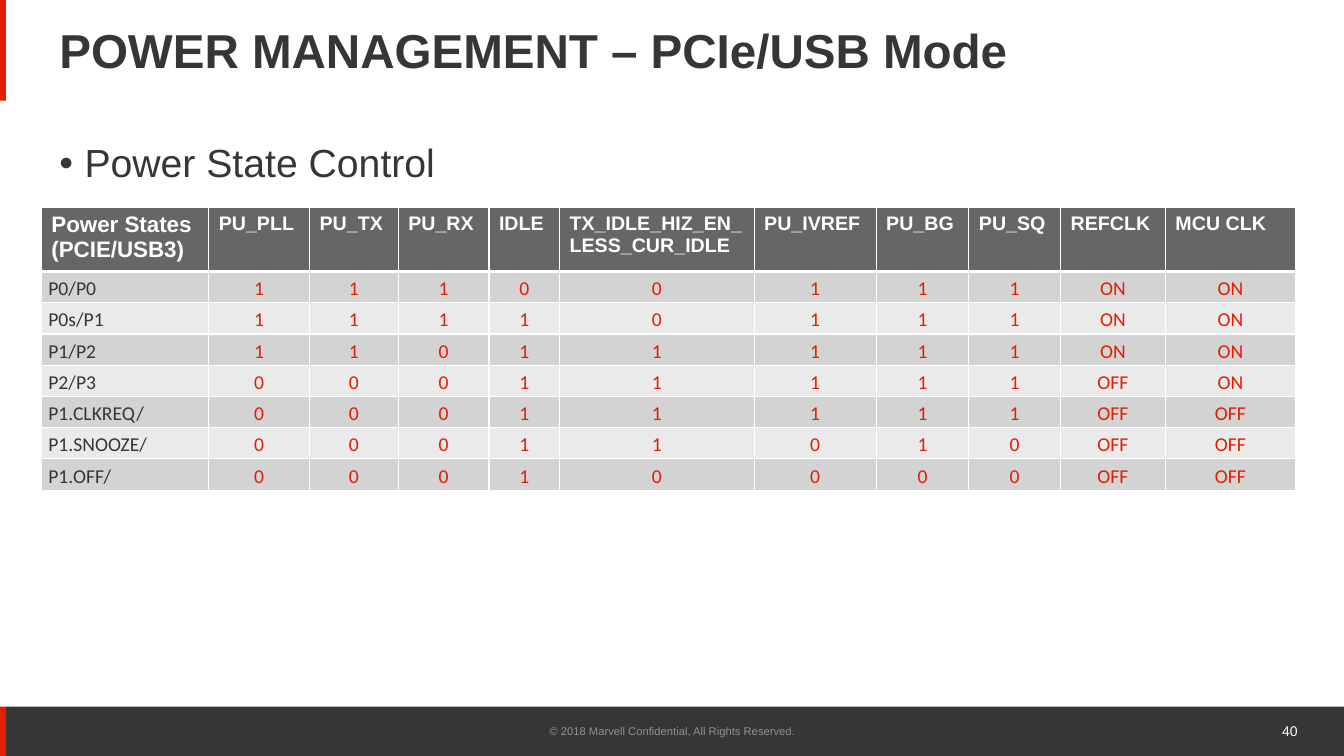
from lxml import etree
from pptx import Presentation
from pptx.dml.color import RGBColor
from pptx.enum.shapes import MSO_SHAPE
from pptx.enum.text import MSO_ANCHOR, PP_ALIGN
from pptx.oxml.ns import qn
from pptx.util import Inches, Pt

RECT = MSO_SHAPE.RECTANGLE
TOP, MIDDLE = MSO_ANCHOR.TOP, MSO_ANCHOR.MIDDLE
LEFT, CENTER, RIGHT = PP_ALIGN.LEFT, PP_ALIGN.CENTER, PP_ALIGN.RIGHT

COLORS = {
    "dark": "363636", "red": "E11E00", "white": "FFFFFF", "gray": "919191",
    "head": "666666", "odd": "D3D3D3", "even": "EAEAEA",
}
TITLE = "POWER MANAGEMENT – PCIe/USB Mode"
TOPIC = "Power State Control"
RIGHTS = "© 2018 Marvell Confidential, All Rights Reserved."
PAGE = "40"

BARS = [
    (0.06, 7.01, 13.27, 0.49, "dark"),
    (0, 7.01, 0.06, 0.49, "red"),
    (0, 0, 0.06, 1, "red"),
]
HEADS = [
    "Power States\n(PCIE/USB3)", "PU_PLL", "PU_TX", "PU_RX", "IDLE",
    "TX_IDLE_HIZ_EN_LESS_CUR_IDLE", "PU_IVREF", "PU_BG", "PU_SQ",
    "REFCLK", "MCU CLK",
]
STATES = [
    ("P0/P0", "1", "1", "1", "0", "0", "1", "1", "1", "ON", "ON"),
    ("P0s/P1", "1", "1", "1", "1", "0", "1", "1", "1", "ON", "ON"),
    ("P1/P2", "1", "1", "0", "1", "1", "1", "1", "1", "ON", "ON"),
    ("P2/P3", "0", "0", "0", "1", "1", "1", "1", "1", "OFF", "ON"),
    ("P1.CLKREQ/", "0", "0", "0", "1", "1", "1", "1", "1", "OFF", "OFF"),
    ("P1.SNOOZE/", "0", "0", "0", "1", "1", "0", "1", "0", "OFF", "OFF"),
    ("P1.OFF/", "0", "0", "0", "1", "0", "0", "0", "0", "OFF", "OFF"),
]
WIDTHS = [1.66, 1, 0.88, 0.9, 0.7, 1.93, 1.21, 0.92, 0.91, 1.04, 1.29]
HEAD_H, ROW_H = 0.57, 0.31


def rgb(name):
    return RGBColor.from_string(COLORS[name])


def write(frame, text, size, color, font="Arial", bold=False, align=LEFT, lead=1.0):
    for i, line in enumerate(text.split("\n")):
        para = frame.add_paragraph() if i else frame.paragraphs[0]
        para.alignment = align
        para.line_spacing = lead
        run = para.add_run()
        run.text = line
        run.font.size = Pt(size)
        run.font.name = font
        run.font.bold = bold
        run.font.color.rgb = rgb(color)


def label(slide, box, text, size, color, anchor=MIDDLE, **style):
    frame = slide.shapes.add_textbox(*map(Inches, box)).text_frame
    frame.word_wrap = True
    frame.vertical_anchor = anchor
    write(frame, text, size, color, **style)
    return frame


def bullet(para, indent):
    props = para._p.get_or_add_pPr()
    props.set("marL", str(Inches(indent)))
    props.set("indent", str(-Inches(indent)))
    etree.SubElement(props, qn("a:buFont"), typeface="Arial")
    etree.SubElement(props, qn("a:buChar"), char="•")


def border(cell, top, bottom):
    props = cell._tc.get_or_add_tcPr()
    for side, width in (("L", 1), ("R", 1), ("T", top), ("B", bottom)):
        line = etree.SubElement(props, qn("a:ln" + side), w=str(Pt(width)))
        fill = etree.SubElement(line, qn("a:solidFill"))
        etree.SubElement(fill, qn("a:srgbClr"), val=COLORS["white"])


def paint(cell, name):
    cell.fill.solid()
    cell.fill.fore_color.rgb = rgb(name)


def build_table(slide):
    high = HEAD_H + ROW_H * len(STATES)
    box = map(Inches, (0.41, 2.06, sum(WIDTHS), high))
    table = slide.shapes.add_table(len(STATES) + 1, len(HEADS), *box).table
    for col, width in zip(table.columns, WIDTHS):
        col.width = Inches(width)
    for r, row in enumerate(table.rows):
        row.height = Inches(ROW_H if r else HEAD_H)
    for c, text in enumerate(HEADS):
        cell = table.cell(0, c)
        border(cell, 1, 3)
        paint(cell, "head")
        write(cell.text_frame, text, 14 if c else 16, "white", bold=True)
    for r, state in enumerate(STATES, 1):
        for c, text in enumerate(state):
            cell = table.cell(r, c)
            border(cell, 3 if r == 1 else 1, 1)
            paint(cell, "odd" if r % 2 else "even")
            cell.vertical_anchor = MIDDLE
            cell.margin_left = cell.margin_right = Inches(0.07)
            cell.margin_top = cell.margin_bottom = 0
            write(cell.text_frame, text, 14, "red" if c else "dark",
                  font="Calibri", align=CENTER if c else LEFT, lead=1.15)


def main():
    deck = Presentation()
    deck.slide_width, deck.slide_height = Inches(13.33), Inches(7.5)
    slide = deck.slides.add_slide(deck.slide_layouts[6])
    for *box, color in BARS:
        bar = slide.shapes.add_shape(RECT, *map(Inches, box))
        bar.shadow.inherit = False
        bar.fill.solid()
        bar.fill.fore_color.rgb = rgb(color)
        bar.line.fill.background()
    label(slide, (0.49, 0.17, 11.5, 0.72), TITLE, 34, "dark", bold=True, lead=0.9)
    label(slide, (4.42, 7.05, 4.5, 0.4), RIGHTS, 8, "gray", align=CENTER)
    label(slide, (10.21, 7.05, 2.76, 0.4), PAGE, 10, "white", align=RIGHT)
    body = label(slide, (0.49, 1.38, 11.5, 5.1), TOPIC, 28, "dark", TOP, lead=0.9)
    bullet(body.paragraphs[0], 0.25)
    build_table(slide)
    deck.save("out.pptx")


if __name__ == "__main__":
    main()
